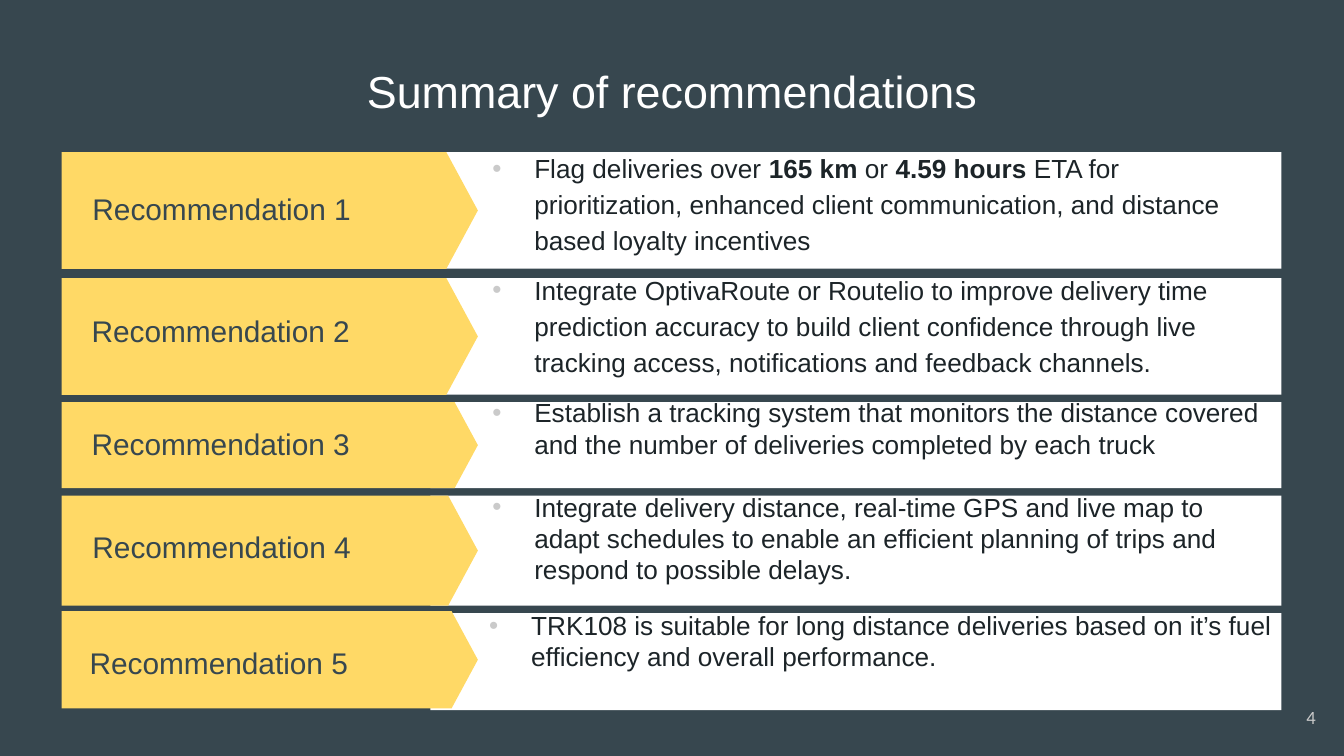
"""Build the summary slide of five delivery recommendations."""
from dataclasses import dataclass

import pptx
import pptx.dml.color
import pptx.enum.shapes
import pptx.enum.text
import pptx.oxml.ns
import pptx.shapes.base
import pptx.slide
import pptx.text.text
import pptx.util
from lxml import etree

Pt = pptx.util.Pt
RGBColor = pptx.dml.color.RGBColor
Align = pptx.enum.text.PP_ALIGN
Shape = pptx.enum.shapes.MSO_SHAPE

SLATE = RGBColor(0x37, 0x47, 0x4F)
WHITE = RGBColor(0xFF, 0xFF, 0xFF)
YELLOW = RGBColor(0xFF, 0xD9, 0x66)
INK = RGBColor(0x1C, 0x24, 0x28)
GREY = RGBColor(0xCA, 0xCA, 0xCA)

TEXT_HEIGHT = 62.5
INSET = 7.2
BULLET_INDENT = 22.5


@dataclass
class Box:
    """A rectangle in points."""
    left: float
    top: float
    width: float
    height: float = TEXT_HEIGHT

    def lengths(self) -> tuple[int, ...]:
        """Return the rectangle as slide lengths."""
        return tuple(Pt(v) for v in (self.left, self.top, self.width, self.height))


@dataclass
class Recommendation:
    """One band; every second fragment of its detail is bold."""
    top: float
    height: float
    label_left: float
    label_top: float
    detail_box: Box
    detail: tuple[str, ...]
    line_spacing: float = 1.0
    panel_drop: float = 0


RECOMMENDATIONS = [
    Recommendation(81.5, 62.5, 42.5, 80.5, Box(256.5, 77, 430.5), (
        "Flag deliveries over ", "165 km ", "or ", "4.59 hours ",
        "ETA for prioritization, enhanced client communication, "
        "and distance based loyalty incentives"), 1.15),
    Recommendation(149, 62.5, 42, 146, Box(256.5, 142, 430.5), (
        "Integrate OptivaRoute or Routelio to improve delivery time prediction "
        "accuracy to build client confidence through live tracking access, "
        "notifications and feedback channels.",), 1.15),
    Recommendation(215.5, 46, 42, 206.5, Box(256.5, 198, 430.5), (
        "Establish a tracking system that monitors the distance covered "
        "and the number of deliveries completed by each truck",)),
    Recommendation(265.5, 59, 42.5, 261.5, Box(256.5, 257, 420.5), (
        "Integrate delivery distance, real-time GPS and live map to adapt schedules "
        "to enable an efficient planning of trips and respond to possible delays.",)),
    Recommendation(327.5, 52, 41, 323.5, Box(255, 312, 435), (
        "TRK108 is suitable for long distance deliveries based on it’s fuel "
        "efficiency and overall performance.",), panel_drop=1),
]


def place(holder: pptx.shapes.base.BaseShape, box: Box) -> pptx.text.text._Paragraph:
    """Position a text holder and return its first paragraph."""
    holder.left, holder.top, holder.width, holder.height = box.lengths()
    frame = holder.text_frame
    frame.word_wrap = True
    frame.auto_size = pptx.enum.text.MSO_AUTO_SIZE.NONE
    frame.vertical_anchor = pptx.enum.text.MSO_ANCHOR.MIDDLE
    frame.margin_left = frame.margin_right = Pt(INSET)
    frame.margin_top = frame.margin_bottom = Pt(INSET)
    return frame.paragraphs[0]


def write(paragraph: pptx.text.text._Paragraph, fragments: tuple[str, ...], size: float,
          color: RGBColor, align: Align = Align.LEFT, font: str = "Arial") -> None:
    """Fill a paragraph with alternating regular and bold runs."""
    paragraph.alignment = align
    paragraph.space_before = Pt(0)
    for index, fragment in enumerate(fragments):
        run = paragraph.add_run()
        run.text = fragment
        run.font.name = font
        run.font.size = Pt(size)
        run.font.bold = index % 2 == 1
        run.font.color.rgb = color


def add_bullet(paragraph: pptx.text.text._Paragraph) -> None:
    """Give a paragraph a grey hanging bullet."""
    qn = pptx.oxml.ns.qn
    properties = paragraph._p.get_or_add_pPr()
    properties.set("marL", str(Pt(BULLET_INDENT)))
    properties.set("indent", str(-Pt(BULLET_INDENT)))
    bullet_color = etree.SubElement(properties, qn("a:buClr"))
    etree.SubElement(bullet_color, qn("a:srgbClr"), val=str(GREY))
    etree.SubElement(properties, qn("a:buFont"), typeface="Arial")
    etree.SubElement(properties, qn("a:buChar"), char="•")


def add_text(slide: pptx.slide.Slide, box: Box, text: str, size: float,
             color: RGBColor, align: Align = Align.LEFT, font: str = "Arial") -> None:
    """Add a one-paragraph text box."""
    holder = slide.shapes.add_textbox(*box.lengths())
    write(place(holder, box), (text,), size, color, align, font)


def add_band(slide: pptx.slide.Slide, item: Recommendation) -> None:
    """Draw the white panel and the yellow arrow of a recommendation."""
    band = slide.shapes.add_group_shape().shapes
    panel = band.add_shape(
        Shape.RECTANGLE, *Box(230.5, item.top + item.panel_drop, 456, item.height).lengths())
    arrow = band.add_shape(
        Shape.PENTAGON, *Box(33, item.top, 223, item.height).lengths())
    arrow.adjustments[0] = 0.27
    for part, color in ((panel, WHITE), (arrow, YELLOW)):
        part.shadow.inherit = False
        part.fill.solid()
        part.fill.fore_color.rgb = color
        part.line.fill.background()


def main() -> None:
    """Create the presentation."""
    deck = pptx.Presentation()
    deck.slide_width, deck.slide_height = Pt(720), Pt(405)
    slide = deck.slides.add_slide(deck.slide_layouts.get_by_name("Comparison"))
    slide.background.fill.solid()
    slide.background.fill.fore_color.rgb = SLATE

    title = slide.shapes.title
    write(place(title, Box(24.5, 26, 671, 45.5)), ("Summary of recommendations",),
          24, WHITE, Align.CENTER)

    bodies = [holder for holder in slide.placeholders if holder.placeholder_format.idx > 0]
    for number, item in enumerate(RECOMMENDATIONS, start=1):
        add_band(slide, item)
        add_text(slide, Box(item.label_left, item.label_top, 191),
                 f"Recommendation {number}", 16, SLATE)
        if bodies:
            detail = bodies.pop(0)
            detail.element.getparent().append(detail.element)
        else:
            detail = slide.shapes.add_textbox(*item.detail_box.lengths())
        paragraph = place(detail, item.detail_box)
        paragraph.line_spacing = item.line_spacing
        write(paragraph, item.detail, 14, INK)
        add_bullet(paragraph)

    add_text(slide, Box(669, 368.5, 43, 31), "4", 10, GREY, Align.RIGHT, "Calibri")
    deck.save("out.pptx")


if __name__ == "__main__":
    main()
